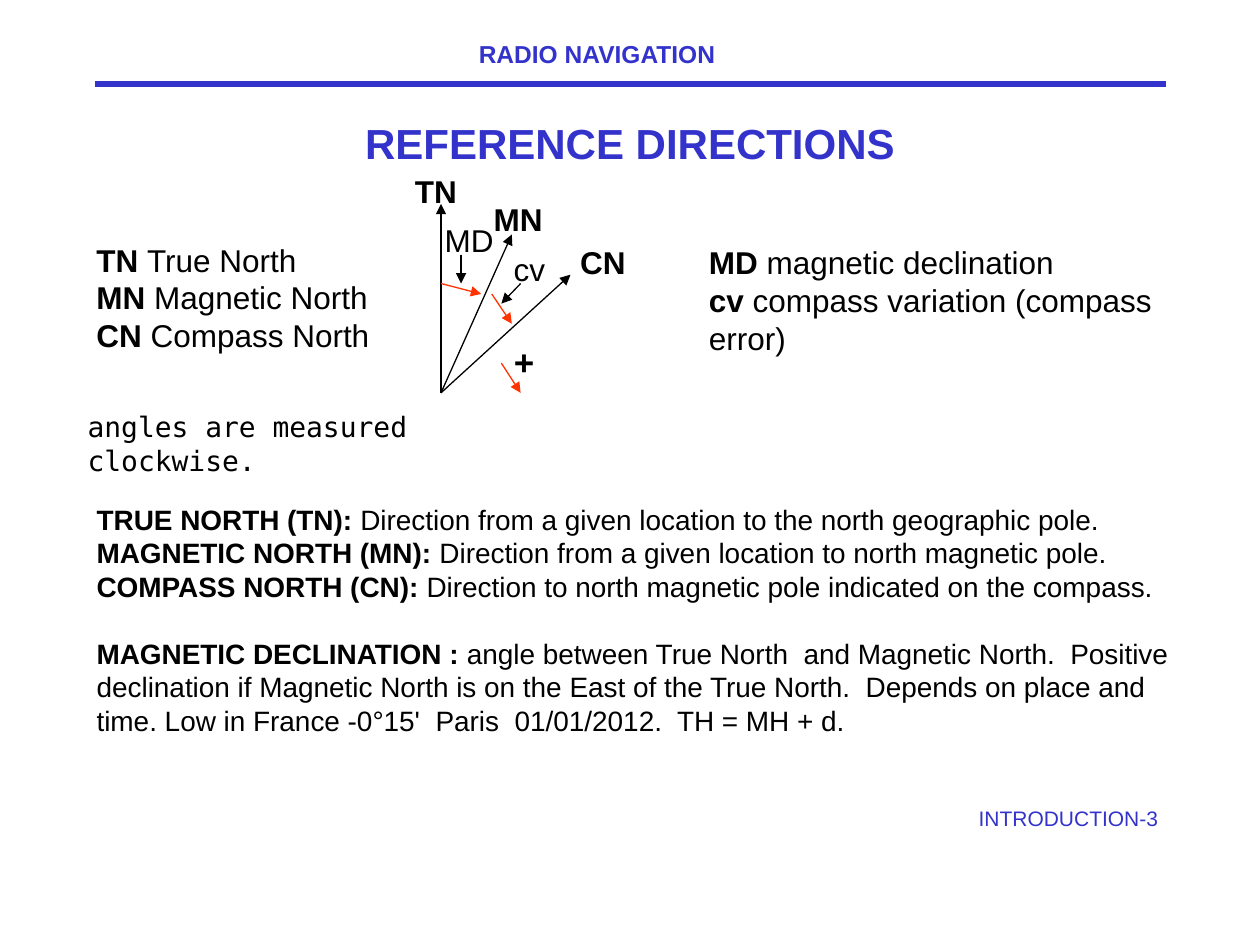
from pptx import Presentation
from pptx.dml.color import RGBColor
from pptx.enum.shapes import MSO_CONNECTOR
from pptx.enum.text import MSO_ANCHOR, MSO_AUTO_SIZE, PP_ALIGN
from pptx.oxml.ns import qn
from pptx.util import Pt
from lxml import etree

BLUE = RGBColor(0x33, 0x33, 0xCC)
BLACK = RGBColor(0, 0, 0)
RED = RGBColor(0xFF, 0x33, 0x00)
LEFT, CENTER, RIGHT = PP_ALIGN.LEFT, PP_ALIGN.CENTER, PP_ALIGN.RIGHT
TOP, MIDDLE = MSO_ANCHOR.TOP, MSO_ANCHOR.MIDDLE
FIXED = MSO_AUTO_SIZE.NONE
STRAIGHT = MSO_CONNECTOR.STRAIGHT

ORIGIN = (252, 224.5)
NORTHS = [
    ("TN", (252, 116.5), (230, 94.5, 51, 29)),
    ("MN", (292.5, 134), (275, 111, 43, 29)),
    ("CN", (326, 157), (324.5, 135.5, 41, 29)),
]
ANGLES = [
    ("MD", (247, 122.5, 43, 29), (263.5, 145.5), (263.5, 162)),
    ("cv", (286.5, 139.5, 33, 29), (297.5, 162), (286.5, 173.5)),
]
TURNS = [
    ((252, 162), (275, 168)),
    ((281, 168), (292.5, 185)),
    ((286.5, 207.5), (297.5, 224.5)),
]
NAMES = [("TN ", "True North"), ("MN", " Magnetic North"), ("CN", " Compass North")]
TERMS = [("MD", " magnetic declination"), ("cv", " compass variation (compass error)")]
NOTES = [
    ("TRUE NORTH (TN): ", "Direction from a given location to the north geographic pole."),
    ("MAGNETIC NORTH (MN):", " Direction from a given location to north magnetic pole."),
    ("COMPASS NORTH (CN): ", "Direction to north magnetic pole indicated on the compass."),
    ("MAGNETIC DECLINATION : ",
     "angle between True North  and Magnetic North.  Positive declination if "
     "Magnetic North is on the East of the True North.  Depends on place and "
     "time. Low in France -0°15'  Paris  01/01/2012.  TH = MH + d."),
]


def write(shape, lines, size=18, color=BLACK, face="Arial", align=LEFT, anchor=TOP):
    frame = shape.text_frame
    frame.word_wrap = True
    frame.auto_size = FIXED
    frame.vertical_anchor = anchor
    for i, (head, rest) in enumerate(lines):
        para = frame.add_paragraph() if i else frame.paragraphs[0]
        para.alignment = align
        para.space_before = Pt(0)
        for text, bold in ((head, True), (rest, False)):
            if text:
                run = para.add_run()
                run.text = text
                font = run.font
                font.name, font.size, font.bold = face, Pt(size), bold
                font.color.rgb = color


def place(shape, box):
    shape.left, shape.top, shape.width, shape.height = map(Pt, box)


def label(slide, box, lines, **style):
    shape = slide.shapes.add_textbox(*map(Pt, box))
    write(shape, lines, **style)


def line(slide, start, end, color=BLACK, width=0.75, arrow=True):
    link = slide.shapes.add_connector(STRAIGHT, *map(Pt, start + end))
    link.line.color.rgb = color
    link.line.width = Pt(width)
    if arrow:
        etree.SubElement(link.line._get_or_add_ln(), qn("a:tailEnd"), type="triangle")
    etree.SubElement(link._element.spPr, qn("a:effectLst"))


def frame(slide):
    line(slide, (54, 48), (666, 48), color=BLUE, width=3, arrow=False)
    label(slide, (266.5, 18.5, 152, 24.5), [("RADIO NAVIGATION", "")],
          size=14, color=BLUE)
    label(slide, (530, 457, 139, 30), [("", "INTRODUCTION-3")],
          size=12, color=BLUE, align=RIGHT)
    title = slide.shapes.title
    place(title, (54, 54.5, 612, 54))
    write(title, [("REFERENCE DIRECTIONS", "")], size=24, color=BLUE,
          align=CENTER, anchor=MIDDLE)


def compass(slide):
    for name, tip, box in NORTHS:
        line(slide, ORIGIN, tip)
        label(slide, box, [(name, "")])
    for name, box, start, end in ANGLES:
        label(slide, box, [("", name)])
        line(slide, start, end)
    for start, end in TURNS:
        line(slide, start, end, color=RED)
    label(slide, (286.5, 191, 26, 31.5), [("+", "")], size=20)


def notes(slide):
    body = slide.placeholders[1]
    place(body, (48, 283.5, 641, 160))
    write(body, NOTES, size=16)
    paras = body.text_frame.paragraphs
    for para in paras:
        props = para._p.get_or_add_pPr()
        props.set("marL", "0")
        props.set("indent", "0")
        etree.SubElement(props, qn("a:buNone"))
    paras[-1].space_before = Pt(19)


def main():
    deck = Presentation()
    deck.slide_width, deck.slide_height = Pt(720), Pt(540)
    slide = deck.slides.add_slide(deck.slide_layouts[1])
    frame(slide)
    compass(slide)
    label(slide, (48, 134, 172, 72), NAMES)
    label(slide, (398, 135.5, 313, 72), TERMS)
    label(slide, (43, 230.5, 251, 45), [("", "angles are measured clockwise.")],
          size=16, face="DejaVu Sans Mono")
    notes(slide)
    deck.save("out.pptx")


if __name__ == "__main__":
    main()
